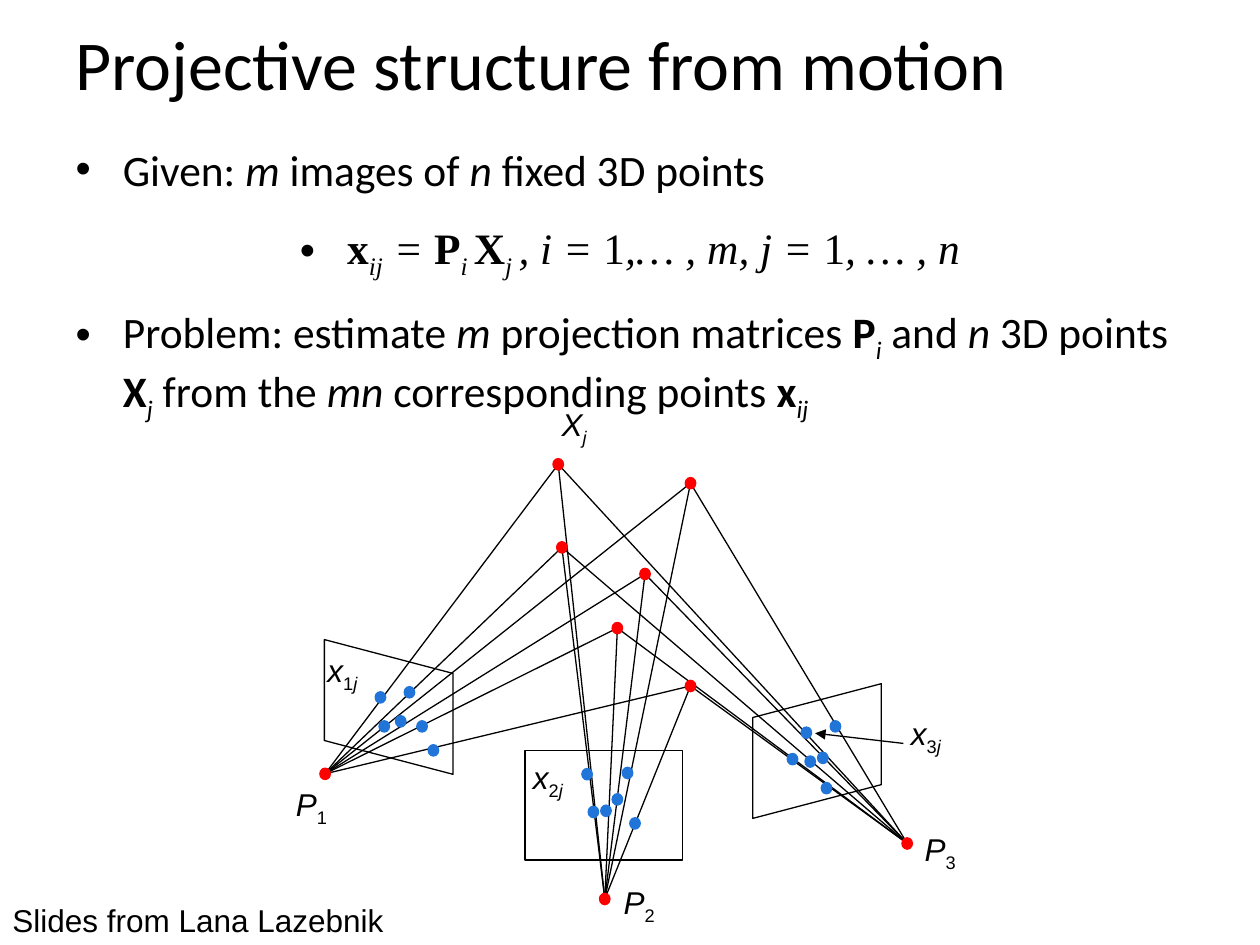
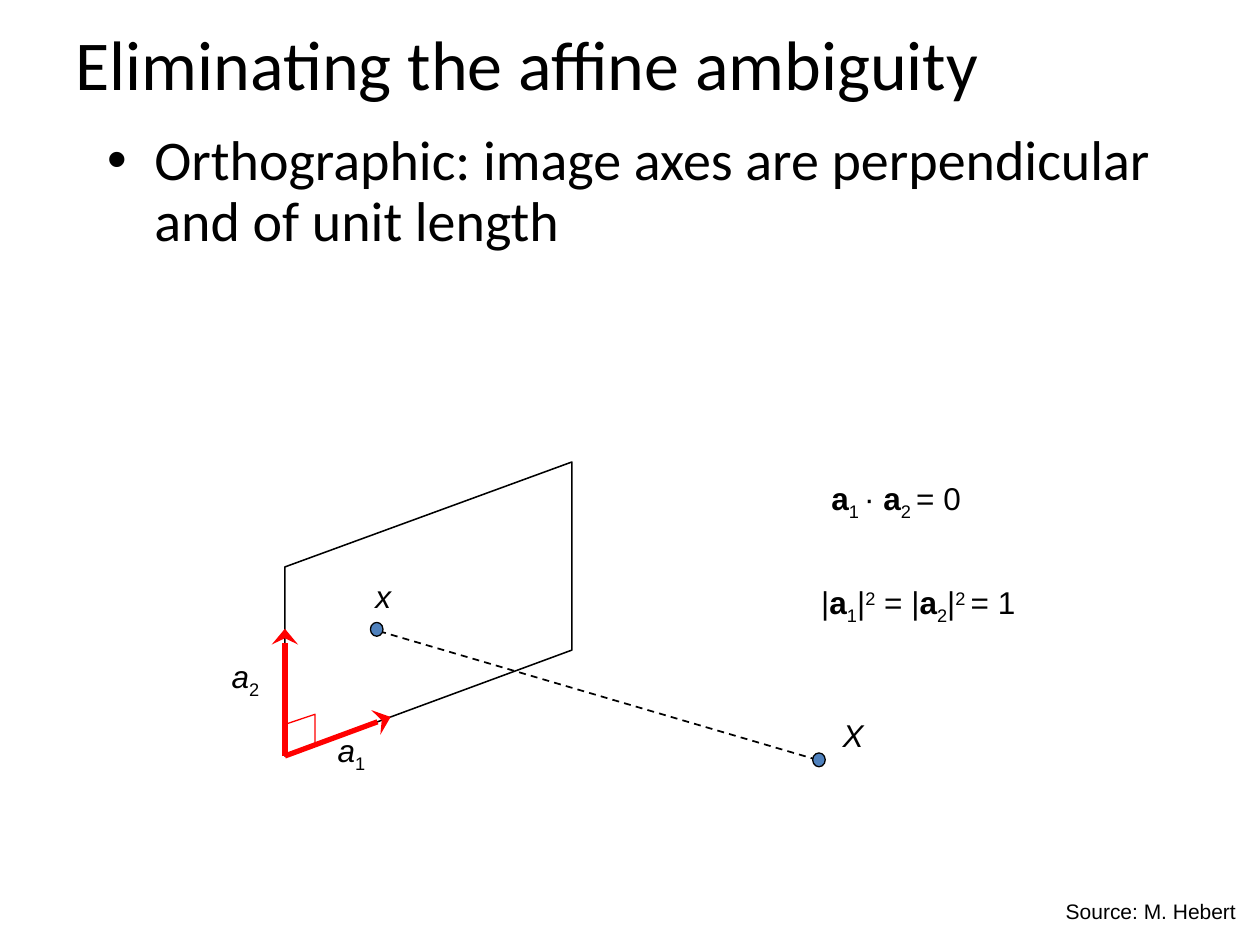
"""Builds two slides on structure from motion and the affine ambiguity."""
from itertools import product

from lxml import etree
from pptx import Presentation
from pptx.dml.color import RGBColor
from pptx.enum import dml, shapes, text
from pptx.oxml.ns import qn
from pptx.util import Pt

BLACK = RGBColor(0, 0, 0)
RED = RGBColor(0xFF, 0, 0)
BLUE = RGBColor(0x21, 0x75, 0xD9)
STEEL = RGBColor(0x4F, 0x81, 0xBD)
SHAPE = shapes.MSO_SHAPE


class Deck:
    """Holds the style and the current slide."""

    def __init__(self):
        self.prs = Presentation()
        self.prs.slide_width, self.prs.slide_height = Pt(720), Pt(540)

    def slide(self, title):
        """Starts a slide with its title."""
        self.s = self.prs.slides.add_slide(self.prs.slide_layouts[1])
        sp = self.s.shapes.title
        self.place(sp, 36, 0, 648, 72)
        sp.text_frame.vertical_anchor = text.MSO_ANCHOR.MIDDLE
        p = sp.text_frame.paragraphs[0]
        p.alignment = text.PP_ALIGN.LEFT
        self.add_runs(p, [(title, "")], 40, "Calibri")

    def place(self, sp, x, y, w, h):
        """Moves and sizes a shape."""
        sp.left, sp.top, sp.width, sp.height = Pt(x), Pt(y), Pt(w), Pt(h)

    def add_runs(self, p, runs, size, font):
        """Fills a paragraph from (text, flags): b, i, _ subscript, ^ superscript."""
        p.font.size, p.font.name, p.font.color.rgb = Pt(size), font, BLACK
        for words, flags in runs:
            r = p.add_run()
            r.text = words
            if "b" in flags:
                r.font.bold = True
            if "i" in flags:
                r.font.italic = True
            for mark, base in (("_", "-25000"), ("^", "30000")):
                if mark in flags:
                    r.font._element.set("baseline", base)

    def body(self, box, size, paragraphs, spacing=1.0):
        """Fills the body from (runs, font, space before, alignment)."""
        sp = self.s.placeholders[1]
        self.place(sp, *box)
        tf = sp.text_frame
        tf.auto_size = text.MSO_AUTO_SIZE.NONE
        for n, (runs, font, before, align) in enumerate(paragraphs):
            p = tf.add_paragraph() if n else tf.paragraphs[0]
            p.space_before, p.line_spacing, p.alignment = Pt(before), spacing, align
            self.add_runs(p, runs, size, font)

    def label(self, x, y, w, runs, size=18):
        """Adds a text box."""
        tf = self.s.shapes.add_textbox(Pt(x), Pt(y), Pt(w), Pt(2 * size)).text_frame
        tf.word_wrap = True
        self.add_runs(tf.paragraphs[0], runs, size, "Arial")

    def paint(self, sp, fill, line, width):
        """Sets fill and outline and drops the shadow."""
        sp.shadow.inherit = False
        if fill is None:
            sp.fill.background()
        else:
            sp.fill.solid()
            sp.fill.fore_color.rgb = fill
        sp.line.color.rgb, sp.line.width = line, Pt(width)

    def shape(self, kind, x, y, w, h, fill=None, line=BLACK):
        """Adds a preset shape."""
        sp = self.s.shapes.add_shape(kind, Pt(x), Pt(y), Pt(w), Pt(h))
        self.paint(sp, fill, line, 0.75)
        return sp

    def dot(self, centre, fill, line, w=6, h=6.5):
        """Adds a dot around its centre."""
        x, y = centre
        self.shape(SHAPE.OVAL, x - w / 2, y - h / 2, w, h, fill, line)

    def tilted(self, x, y, rotation, flip=False):
        """Adds an image plane seen at an angle."""
        sp = self.shape(SHAPE.PARALLELOGRAM, x, y, 77, 73.5)
        sp.adjustments[0] = 0.263
        sp.rotation = rotation
        if flip:
            sp._element.spPr.find(qn("a:xfrm")).set("flipH", "1")

    def outline(self, points, color, width, close):
        """Adds an unfilled outline through points."""
        start, *rest = [(Pt(x), Pt(y)) for x, y in points]
        fb = self.s.shapes.build_freeform(*start)
        fb.add_line_segments(rest, close=close)
        self.paint(fb.convert_to_shape(), None, color, width)

    def line(self, a, b, color=BLACK, width=0.75, dash=None, head=None, head_w="med"):
        """Adds a straight line, with an arrowhead at b if asked."""
        sp = self.s.shapes.add_connector(
            shapes.MSO_CONNECTOR.STRAIGHT, *(Pt(v) for v in (*a, *b)))
        sp.line.color.rgb, sp.line.width = color, Pt(width)
        if dash:
            sp.line.dash_style = dash
        spPr = sp._element.spPr
        if head:
            etree.SubElement(spPr.find(qn("a:ln")), qn("a:tailEnd"),
                             type=head, w=head_w, len="med")
        etree.SubElement(spPr, qn("a:effectLst"))


def projective(d):
    """Draws the projective structure slide."""
    d.slide("Projective structure from motion")
    left, centre = text.PP_ALIGN.LEFT, text.PP_ALIGN.CENTER
    given = [("Given: ", ""), ("m", "i"), (" images of ", ""), ("n", "i"),
             (" fixed 3D points", "")]
    equation = [("x", "b"), ("ij", "i_"), (" = ", "i"), ("P", "b"), ("i ", "i_"),
                ("X", "b"), ("j ", "i_"), (", i = ", "i"), ("1", ""),
                (",… , m, j = ", "i"), ("1", ""), (", … , n", "i")]
    problem = [("Problem: estimate ", ""), ("m", "i"), (" projection matrices ", ""),
               ("P", "b"), ("i", "i_"), (" and ", ""), ("n", "i"), (" 3D points ", ""),
               ("X", "b"), ("j", "i_"), (" from the ", ""), ("mn", "i"),
               (" corresponding points ", ""), ("x", "b"), ("ij", "i_")]
    d.body((36, 78, 648, 138), 24.8, [
        (given, "Calibri", 1, left),
        (equation, "Times New Roman", 15, centre),
        (problem, "Calibri", 14, left)])

    cameras = [(185.8, 442.2), (345.6, 513.7), (518.4, 482)]
    points = [(319, 265.3), (394.6, 276.1), (321.1, 312.8),
              (368.6, 328), (394.6, 392), (352.8, 358.9)]
    projections = [
        (217.4, 398.5), (234, 395.6), (229, 412.2),
        (241.2, 415.1), (247.7, 428.8), (219.6, 415.1),
        (335.5, 442.4), (346.3, 463.3), (358.6, 441.7),
        (352.8, 456.8), (362.9, 470.5), (339.1, 464),
        (460.8, 418.7), (477.4, 415.1), (470.2, 433.1),
        (463, 435.2), (472.3, 450.4), (452.9, 433.8)]
    for camera, point in product(cameras, points):
        d.line(camera, point)
    d.shape(SHAPE.RECTANGLE, 300, 429, 90, 62.5)
    d.tilted(183.6, 367.2, 270)
    d.tilted(428.4, 392.4, 90, flip=True)
    for spot in cameras + points:
        d.dot(spot, RED, RED)
    for spot in projections:
        d.dot(spot, BLUE, BLUE)

    image_spots = [(180, 368.6), (297.4, 429.8), (513.4, 404.6)]
    camera_spots = [(162, 445), (349.2, 501.1), (521.3, 470.9)]
    for n, (image, camera) in enumerate(zip(image_spots, camera_spots), 1):
        d.label(*image, 40, [("x", "i"), (str(n), "_"), ("j", "i_")])
        d.label(*camera, 40, [("P", "i"), (str(n), "_")])
    d.label(313.9, 228.2, 36, [("X", "i"), ("j", "i_")])
    d.line((516.2, 424.8), (465.8, 419), head="triangle")
    d.label(0, 511.2, 300, [("Slides from Lana Lazebnik", "")])


def affine(d):
    """Draws the affine ambiguity slide."""
    d.slide("Eliminating the affine ambiguity")
    d.body((54, 72, 612, 468), 32, [
        ([("Orthographic: image axes are perpendicular and of unit length", "")],
         "Calibri", 6.4, text.PP_ALIGN.LEFT)], 0.9)
    corner = (162.8, 432)
    d.outline([(162.8, 324), (326.8, 264), (326.8, 371.5), corner], BLACK, 0.88, True)
    d.line((216.7, 360.7), (469.4, 434.9), width=1, dash=dml.MSO_LINE.DASH)
    for tip in ((162.8, 359.3), (223.2, 409.7)):
        d.line(corner, tip, RED, 3, head="stealth", head_w="lg")
    for spot in ((468, 434.2), (215.3, 359.6)):
        d.dot(spot, STEEL, BLACK, 7.2, 7.9)
    d.label(207.4, 326.2, 30, [("x", "i")])
    d.label(474.5, 405.4, 30, [("X", "i")])
    d.label(185.8, 414, 37, [("a", "i"), ("1", "_")])
    d.label(125.3, 372.2, 37, [("a", "i"), ("2", "_")])
    d.label(468, 270, 115, [("a", "b"), ("1 ", "_"), ("· ", ""), ("a", "b"),
                            ("2 ", "_"), ("= 0", "")])
    d.label(462.2, 329.8, 168, [
        ("|", ""), ("a", "b"), ("1", "_"), ("|", ""), ("2", "^"), (" = |", ""),
        ("a", "b"), ("2", "_"), ("|", ""), ("2 ", "^"), ("= 1", "")])
    d.label(601.9, 509.8, 118, [("Source: M. Hebert", "")], 12)
    d.outline([(162.8, 414), (180, 408.2), (180, 424.8)], RED, 0.75, False)


def main():
    """Builds and saves the deck."""
    d = Deck()
    projective(d)
    affine(d)
    d.prs.save("out.pptx")


if __name__ == "__main__":
    main()
